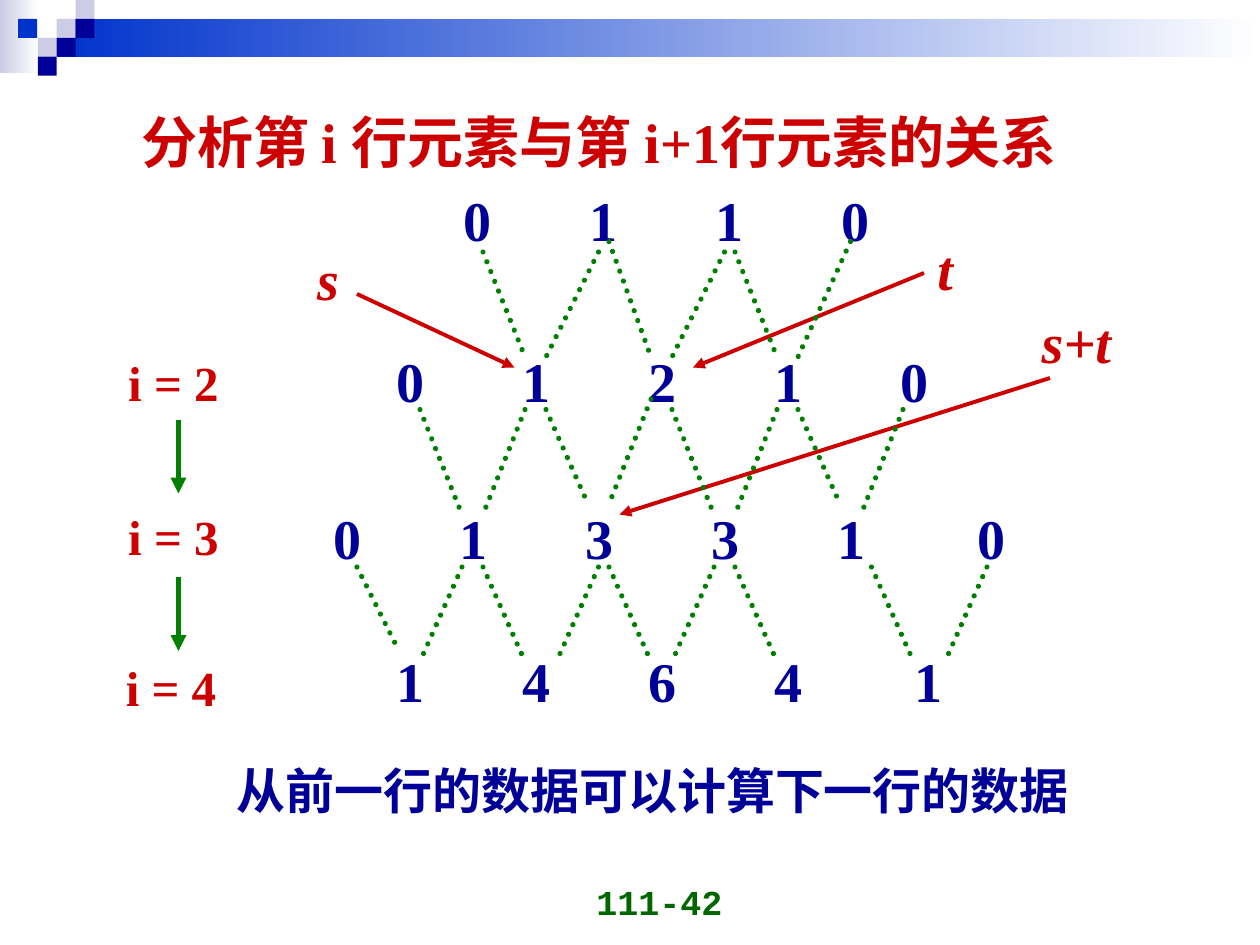
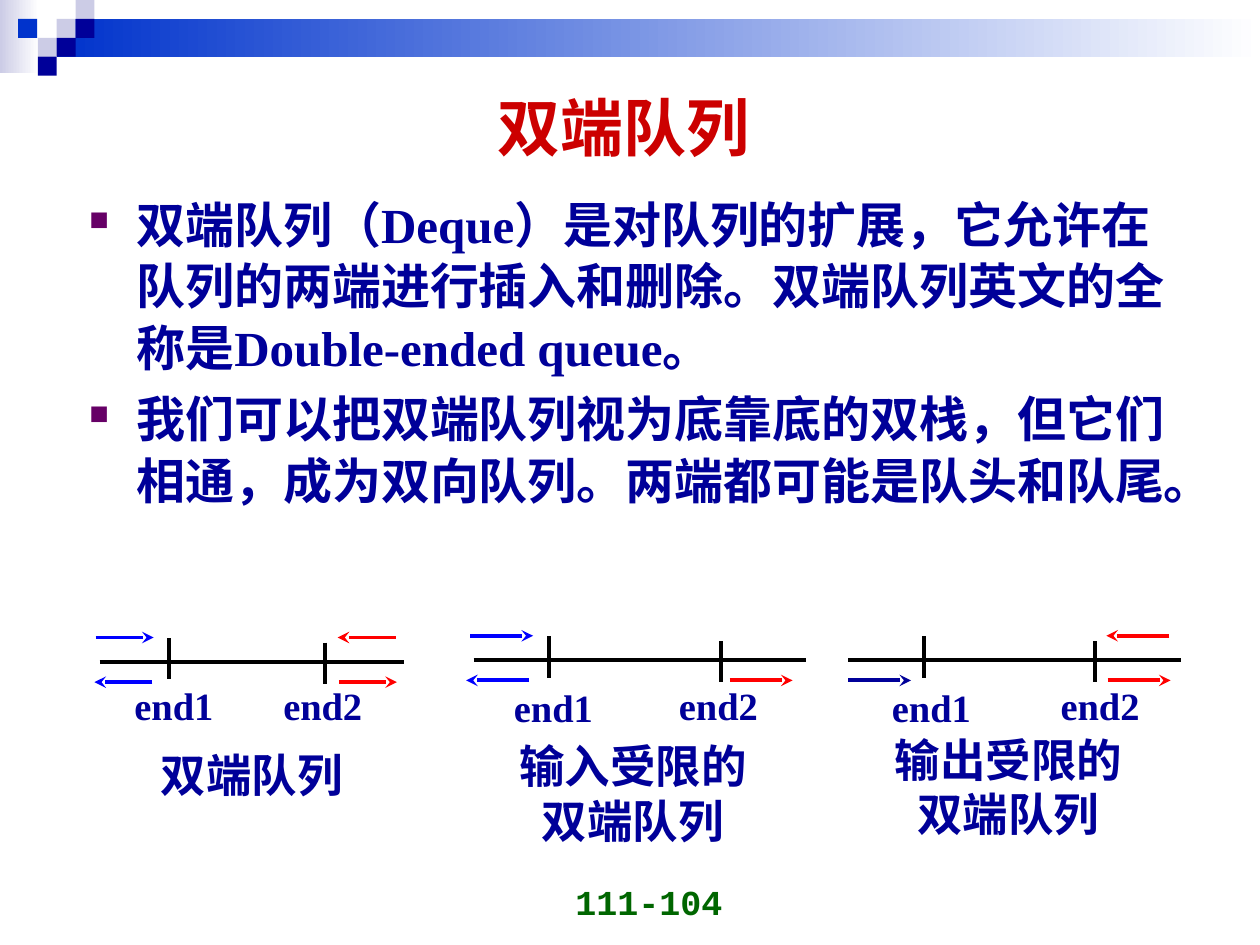
from pptx import Presentation
from pptx.dml.color import RGBColor
from pptx.enum.dml import MSO_LINE
from pptx.enum.shapes import MSO_CONNECTOR, MSO_SHAPE
from pptx.enum.text import MSO_ANCHOR, MSO_AUTO_SIZE, PP_ALIGN
from pptx.oxml.ns import qn
from pptx.util import Pt
from lxml import etree

LEFT, CENTER, RIGHT = PP_ALIGN.LEFT, PP_ALIGN.CENTER, PP_ALIGN.RIGHT
TOP, MIDDLE, BOTTOM = MSO_ANCHOR.TOP, MSO_ANCHOR.MIDDLE, MSO_ANCHOR.BOTTOM
RECT, STRAIGHT = MSO_SHAPE.RECTANGLE, MSO_CONNECTOR.STRAIGHT


class Theme:
    navy, royal, lilac, white = "000099", "0033CC", "CCCCE6", "FFFFFF"
    red, green, page_green, plum = "CC0000", "008000", "006600", "660066"
    black, blue, bright_red = "000000", "0000FF", "FF0000"
    serif, sans, mono, cjk = "Times New Roman", "Arial", "Courier New", "Noto Sans CJK SC"
    title, heading, body, caption, end_label, page = 36, 32, 28, 26, 22, 20
    thin, thick = 2.25, 3


GRADIENT_BANDS = [
    ((0, 0, 22.3, 41.8), Theme.lilac),
    ((32.4, 10.8, 687.6, 21.6), Theme.royal),
]
SQUARE = 10.8
SQUARES = [
    (32.4, 10.8, Theme.lilac), (43.2, 0, Theme.lilac), (43.2, 10.8, Theme.navy),
    (21.6, 21.6, Theme.lilac), (10.4, 10.8, Theme.royal),
    (32.4, 21.6, Theme.navy), (21.6, 32.4, Theme.navy),
]

NUMBER_PITCH = 72
NUMBER_ROWS = [
    (257.8, 102.2, "0110", 0), (219.6, 194.4, "01210", 0),
    (183.6, 284.4, "013310", 8), (219.6, 365.8, "14641", 8),
]
STEPS = [("i = 2", 66.2, 198), ("i = 3", 66.2, 285.8), ("i = 4", 64.8, 372.2)]
STEP_X, STEP_ARROWS = 102, [(240, 282), (330, 372)]
SUMS = [
    ("s", (174.2, 136.1, 26.6), (204, 168, 294, 210)),
    ("t", (528.5, 130.3, 23), (528, 156, 396, 210)),
    ("s+t", (588.2, 172.1, 54), (600, 216, 354, 294)),
]
EDGE_RUN = 24
EDGE_BANDS = [
    (144, 204, [276, 348, 420], [342, 414, 486], 30),
    (234, 294, [240, 312, 384, 456], [300, 372, 444, 516], 24),
    (324, 378, [204, 276, 348, 420, 498], [264, 342, 408, 564], 24),
]
UNEVEN_EDGES = {
    (348, 144): (138, 204), (486, 144): (138, 204), (312, 234): (234, 288),
    (456, 234): (234, 288), (372, 234): (228, 288), (204, 324): (324, 372),
}

BULLETS = [
    ("双端队列（Deque）是对队列的扩展，它允许在队列的两端进行插入和删除。"
     "双端队列英文的全称是Double-ended queue。", Theme.serif),
    ("我们可以把双端队列视为底靠底的双栈，但它们相通，成为双向队列。"
     "两端都可能是队头和队尾。", Theme.sans),
]
ABOVE, BELOW = -14, 11.5
DEQUES = [
    dict(axis=(56.9, 231.1, 378.3), ticks=(96.5, 185.8),
         labels=((69.8, 386), (154.8, 386)),
         caption=("双端队列", 84, 423.4, 120, 48),
         arrows=[(193.7, 226.8, BELOW, Theme.bright_red), (226.1, 193, ABOVE, Theme.bright_red),
                 (54.7, 87.8, ABOVE, Theme.blue), (87.1, 54, BELOW, Theme.blue)]),
    dict(axis=(270.7, 460.8, 377.3), ticks=(313.9, 411.8),
         labels=((286.6, 387.4), (380.9, 386)),
         caption=("输入受限的\n双端队列", 289.4, 418.3, 144.7, 69.8),
         arrows=[(416.9, 452.9, BELOW, Theme.bright_red), (268.6, 304.6, ABOVE, Theme.blue),
                 (302.4, 266.4, BELOW, Theme.blue)]),
    dict(axis=(484.6, 674.6, 377.3), ticks=(527.8, 625.7),
         labels=((502.6, 387.4), (599, 386)),
         caption=("输出受限的\n双端队列", 504, 414.7, 144.7, 69.8),
         arrows=[(632.9, 668.9, BELOW, Theme.bright_red), (484.6, 520.6, BELOW, Theme.navy),
                 (668.2, 632.2, ABOVE, Theme.bright_red)]),
]


def rgb(color):
    return RGBColor.from_string(color)


def place(sp, x, y, w, h):
    sp.left, sp.top, sp.width, sp.height = Pt(x), Pt(y), Pt(w), Pt(h)


def style(p, size, color, font=Theme.serif, align=LEFT, italic=False):
    p.alignment = align
    for r in p.runs:
        r.font.size, r.font.name = Pt(size), font
        r.font.bold, r.font.italic = True, italic
        r.font.color.rgb = rgb(color)
        ea = etree.Element(qn("a:ea"), typeface=Theme.cjk)
        r.font._element.find(qn("a:latin")).addnext(ea)


def write(sp, text, size, color, font=Theme.serif, align=LEFT, italic=False,
          anchor=TOP, wrap=True):
    tf = sp.text_frame
    tf.text = text
    tf.word_wrap, tf.auto_size, tf.vertical_anchor = wrap, MSO_AUTO_SIZE.NONE, anchor
    for p in tf.paragraphs:
        style(p, size, color, font, align, italic)
    return tf


def label(shapes, box, text, size, color, **options):
    sp = shapes.add_textbox(*map(Pt, box))
    return write(sp, text, size, color, **options)


def line(shapes, ends, color, width, head=None, dotted=False):
    c = shapes.add_connector(STRAIGHT, *map(Pt, ends))
    c.line.color.rgb, c.line.width = rgb(color), Pt(width)
    ln = c.line._get_or_add_ln()
    if dotted:
        c.line.dash_style = MSO_LINE.ROUND_DOT
        ln.set("cap", "rnd")
    if head:
        etree.SubElement(ln, qn("a:tailEnd"), type=head)
    etree.SubElement(c._element.spPr, qn("a:effectLst"))


def rectangle(shapes, box, color, fade=False):
    sp = shapes.add_shape(RECT, *map(Pt, box))
    sp.shadow.inherit = False
    sp.line.fill.background()
    if fade:
        sp.fill.gradient()
        sp.fill.gradient_angle = 0
        for stop, position, tint in zip(sp.fill.gradient_stops, (0, 1), (color, Theme.white)):
            stop.position, stop.color.rgb = position, rgb(tint)
    else:
        sp.fill.solid()
        sp.fill.fore_color.rgb = rgb(color)
    return sp


def decorate_master(prs, s):
    parts = [rectangle(s.shapes, box, color, fade=True) for box, color in GRADIENT_BANDS]
    parts += [rectangle(s.shapes, (x, y, SQUARE, SQUARE), color) for x, y, color in SQUARES]
    tree = prs.slide_master.shapes.element
    for i, sp in enumerate(parts):
        tree.insert(2 + i, sp.element)


def add_slide(prs, title, box, size, font, align, page):
    s = prs.slides.add_slide(prs.slide_layouts[5])
    place(s.shapes.title, *box)
    write(s.shapes.title, title, size, Theme.red, font=font, align=align, anchor=MIDDLE)
    label(s.shapes, (252, 494.6, 168, 36), page, Theme.page, Theme.page_green,
          font=Theme.mono, align=RIGHT, anchor=BOTTOM)
    return s


def add_number_row(shapes, x, y, digits, last_shift):
    stops = [NUMBER_PITCH * i for i in range(1, len(digits))]
    stops[-1] += last_shift
    tf = label(shapes, (x, y, stops[-1] + 40, 46), "\t".join(digits),
               Theme.heading, Theme.navy)
    tabs = etree.SubElement(tf.paragraphs[0]._p.get_or_add_pPr(), qn("a:tabLst"))
    for stop in stops:
        etree.SubElement(tabs, qn("a:tab"), pos=str(Pt(stop)), algn="l")


def add_edges(shapes):
    for top, bottom, rights, lefts, left_run in EDGE_BANDS:
        runs = [(x, EDGE_RUN) for x in rights] + [(x, -left_run) for x in lefts]
        for x, run in runs:
            y1, y2 = UNEVEN_EDGES.get((x, top), (top, bottom))
            line(shapes, (x, y1, x + run, y2), Theme.green, Theme.thick, dotted=True)


def add_bullets(shapes):
    sp = shapes.add_textbox(Pt(43.9), Pt(105.8), Pt(648), Pt(374.4))
    tf = sp.text_frame
    tf.word_wrap = True
    tf.text = "\n".join(text for text, _ in BULLETS)
    for i, (p, (_, font)) in enumerate(zip(tf.paragraphs, BULLETS)):
        p.line_spacing = 1.05
        p.space_before = Pt(5.2 if i else 0)
        pPr = p._p.get_or_add_pPr()
        pPr.set("marL", str(Pt(27)))
        pPr.set("indent", str(Pt(-27)))
        color = etree.SubElement(pPr, qn("a:buClr"))
        etree.SubElement(color, qn("a:srgbClr"), val=Theme.plum)
        etree.SubElement(pPr, qn("a:buSzPct"), val="55000")
        etree.SubElement(pPr, qn("a:buChar"), char="■")
        style(p, Theme.body, Theme.navy, font)


def add_deque(s, axis, ticks, labels, caption, arrows):
    shapes = s.shapes.add_group_shape().shapes
    x1, x2, y = axis
    line(shapes, (x1, y, x2, y), Theme.black, Theme.thin)
    for x, rise in zip(ticks, (13.7, 11)):
        line(shapes, (x, y - rise, x, y - rise + 23.6), Theme.black, Theme.thin)
    for i, (x, top) in enumerate(labels, 1):
        label(shapes, (x, top, 72, 38), f"end{i}", Theme.end_label, Theme.navy)
    for start, end, offset, color in arrows:
        line(shapes, (start, y + offset, end, y + offset), color, Theme.thin, "stealth")
    text, *box = caption
    label(s.shapes, box, text, Theme.caption, Theme.navy,
          font=Theme.cjk, align=CENTER, wrap=False)


def build_triangle_slide(prs):
    s = add_slide(prs, "分析第 i 行元素与第 i+1行元素的关系", (73.4, 57.6, 585.4, 46),
                  Theme.heading, Theme.serif, LEFT, "111-42")
    decorate_master(prs, s)
    label(s.shapes, (85, 431.3, 576, 41), "从前一行的数据可以计算下一行的数据",
          Theme.body, Theme.navy, align=CENTER)
    for text, x, y in STEPS:
        label(s.shapes, (x, y, 65.5, 41), text, Theme.body, Theme.red, wrap=False)
    for y1, y2 in STEP_ARROWS:
        line(s.shapes, (STEP_X, y1, STEP_X, y2), Theme.green, Theme.thick, "triangle")
    for row in NUMBER_ROWS:
        add_number_row(s.shapes, *row)
    for text, (x, y, w), ends in SUMS:
        line(s.shapes, ends, Theme.red, Theme.thin, "triangle")
        label(s.shapes, (x, y, w, 46), text, Theme.heading, Theme.red,
              italic=True, wrap=False)
    add_edges(s.shapes)


def build_deque_slide(prs):
    s = add_slide(prs, "双端队列", (36, 36, 640, 72.7),
                  Theme.title, Theme.sans, CENTER, "111-104")
    add_bullets(s.shapes)
    for deque in DEQUES:
        add_deque(s, **deque)


def main():
    prs = Presentation()
    prs.slide_width, prs.slide_height = Pt(720), Pt(540)
    build_triangle_slide(prs)
    build_deque_slide(prs)
    prs.save("out.pptx")


if __name__ == "__main__":
    main()
